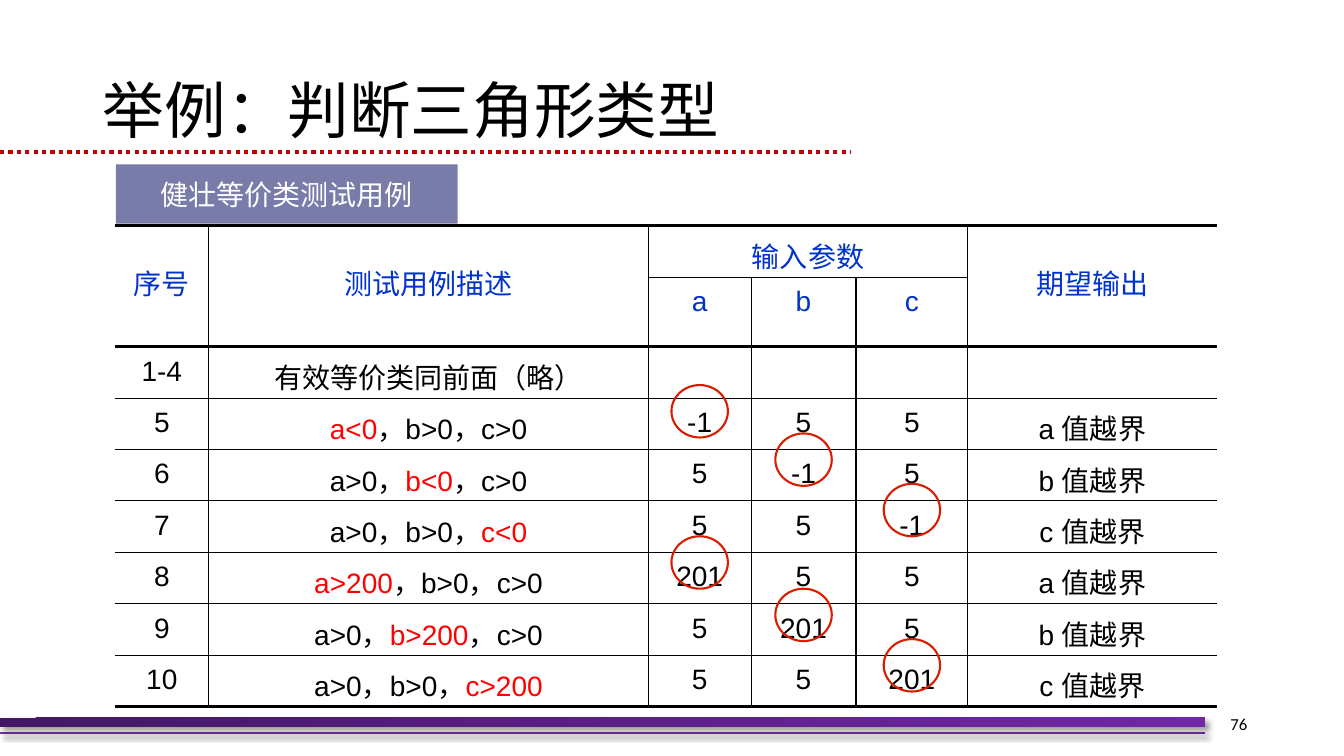
from itertools import groupby

from lxml import etree
from pptx import Presentation
from pptx.dml.color import RGBColor
from pptx.enum.dml import MSO_LINE
from pptx.enum.shapes import MSO_CONNECTOR, MSO_SHAPE
from pptx.enum.text import MSO_ANCHOR, PP_ALIGN
from pptx.oxml.ns import qn
from pptx.util import Inches, Pt

LINE = MSO_CONNECTOR.STRAIGHT
RECT, OVAL = MSO_SHAPE.RECTANGLE, MSO_SHAPE.OVAL
DOTS = MSO_LINE.ROUND_DOT
TOP, MIDDLE = MSO_ANCHOR.TOP, MSO_ANCHOR.MIDDLE
LEFT, CENTER, RIGHT = PP_ALIGN.LEFT, PP_ALIGN.CENTER, PP_ALIGN.RIGHT

BLACK = RGBColor(0x00, 0x00, 0x00)
WHITE = RGBColor(0xFF, 0xFF, 0xFF)
BLUE = RGBColor(0x00, 0x33, 0xCC)
RED = RGBColor(0xFF, 0x00, 0x00)
RING = RGBColor(0xD8, 0x1E, 0x00)
CRIMSON = RGBColor(0xC0, 0x00, 0x00)
LILAC = RGBColor(0x79, 0x7B, 0xA9)
PURPLE = RGBColor(0x70, 0x30, 0xA0)
DARK = RGBColor(0x43, 0x17, 0x64)
LIGHT = RGBColor(0x71, 0x28, 0xA8)
HAN, LATIN = "Noto Sans CJK SC", "Arial"

TITLE = "举例：判断三角形类型"
LABEL = "健壮等价类测试用例"
PAGE = "76"
HEADS = [
    ("序号", "测试用例描述", "输入参数", "", "", "期望输出"),
    ("", "", "a", "b", "c", ""),
]
CASES = [
    ("1-4", "有效等价类同前面（略）", "", "", "", ""),
    ("5", "a<0，b>0，c>0", "-1", "5", "5", "a 值越界"),
    ("6", "a>0，b<0，c>0", "5", "-1", "5", "b 值越界"),
    ("7", "a>0，b>0，c<0", "5", "5", "-1", "c 值越界"),
    ("8", "a>200，b>0，c>0", "201", "5", "5", "a 值越界"),
    ("9", "a>0，b>200，c>0", "5", "201", "5", "b 值越界"),
    ("10", "a>0，b>0，c>200", "5", "5", "201", "c 值越界"),
]
MERGES = [(0, 0, 1, 0), (0, 1, 1, 1), (0, 2, 0, 4), (0, 5, 1, 5)]
WIDTHS = [0.93, 4.36, 1.02, 1.04, 1.11, 2.47]
HEIGHTS = [0.51, 0.69] + [0.51] * len(CASES)
GRID_X, GRID_Y = 1.14, 2.24
INPUTS = (2, 3, 4)
RING_TOPS = [3.82, 4.3, 4.8, 5.32, 5.84, 6.34]
RING_W, RING_H = 0.56, 0.52


def box(x, y, w, h):
    return [Inches(v) for v in (x, y, w, h)]


def add_run(para, text, size, color, font):
    run = para.add_run()
    run.text = text
    run.font.size = Pt(size)
    run.font.color.rgb = color
    run.font.name = font
    etree.SubElement(run.font._element, qn("a:ea"), typeface=font)


def add_mixed(para, text, color):
    """Add one run per stretch of Chinese or Latin letters."""
    for han, chars in groupby(text, lambda ch: ord(ch) > 0x2E00):
        part = "".join(chars)
        wrong = not han and part[1:2] in ("<", ">") and part[1:] != ">0"
        add_run(para, part, 20, RED if wrong else color, HAN if han else LATIN)


def cast(shape, shadow):
    """Give a shape a soft shadow, or none at all."""
    effects = etree.SubElement(shape._element.spPr, qn("a:effectLst"))
    if shadow:
        outer = etree.SubElement(effects, qn("a:outerShdw"), blurRad="50800",
                                 dist="38100", dir="2700000", algn="tl", rotWithShape="0")
        tint = etree.SubElement(outer, qn("a:srgbClr"), val=str(BLACK))
        etree.SubElement(tint, qn("a:alpha"), val="40000")


def add_rule(slide, y, end, color, width, shadow=False):
    rule = slide.shapes.add_connector(LINE, 0, Inches(y), Inches(end), Inches(y))
    rule.line.color.rgb = color
    rule.line.width = Pt(width)
    cast(rule, shadow)
    return rule


def weight(row, col):
    """Width of the horizontal edge above a row."""
    if row == 1:
        return 1 if col in INPUTS else 2.25
    return 2.25 if row in (0, 2, len(HEIGHTS)) else 0.75


def set_edge(cell, side, width):
    edge = etree.SubElement(cell._tc.get_or_add_tcPr(), qn("a:ln" + side),
                            w=str(Pt(width)))
    if width:
        fill = etree.SubElement(edge, qn("a:solidFill"))
        etree.SubElement(fill, qn("a:srgbClr"), val=str(BLACK))
    else:
        etree.SubElement(edge, qn("a:noFill"))


def add_grid(slide):
    rows = HEADS + CASES
    frame = slide.shapes.add_table(len(rows), len(WIDTHS), *box(
        GRID_X, GRID_Y, sum(WIDTHS), sum(HEIGHTS)))
    grid = frame.table
    grid.first_row = grid.horz_banding = False
    for col, width in zip(grid.columns, WIDTHS):
        col.width = Inches(width)
    for row, height in zip(grid.rows, HEIGHTS):
        row.height = Inches(height)
    for top, left, bottom, right in MERGES:
        grid.cell(top, left).merge(grid.cell(bottom, right))
    for r, texts in enumerate(rows):
        for c, text in enumerate(texts):
            cell = grid.cell(r, c)
            if cell.is_spanned:
                continue
            tall = cell.is_merge_origin and cell.span_height > 1
            cell.margin_left = cell.margin_right = 0
            cell.margin_top = Inches(0 if tall else 0.09)
            cell.margin_bottom = Inches(0.08 if tall else 0)
            cell.vertical_anchor = MIDDLE if tall else TOP
            set_edge(cell, "L", 1 if c else 0)
            set_edge(cell, "R", 1 if c < len(WIDTHS) - 1 else 0)
            set_edge(cell, "T", weight(r, c))
            set_edge(cell, "B", weight(r + 1, c))
            cell.fill.background()
            para = cell.text_frame.paragraphs[0]
            para.alignment = CENTER
            add_mixed(para, text, BLUE if r < len(HEADS) else BLACK)


def add_rings(slide):
    for i, top in enumerate(RING_TOPS):
        col = INPUTS[i % len(INPUTS)]
        mid = GRID_X + sum(WIDTHS[:col]) + WIDTHS[col] / 2
        ring = slide.shapes.add_shape(OVAL, *box(mid - RING_W / 2, top, RING_W, RING_H))
        ring.shadow.inherit = False
        ring.fill.background()
        ring.line.color.rgb = RING
        ring.line.width = Pt(1.5)


def main():
    deck = Presentation()
    deck.slide_width, deck.slide_height = Inches(13.33), Inches(7.5)
    slide = deck.slides.add_slide(deck.slide_layouts[5])

    add_rule(slide, 7.27, 11.95, PURPLE, 1.5, shadow=True)
    bar = slide.shapes.add_shape(RECT, *box(0, 7.12, 11.95, 0.09))
    bar.fill.gradient()
    bar.fill.gradient_angle = 315
    for stop, color in zip(bar.fill.gradient_stops, (DARK, LIGHT)):
        stop.color.rgb = color
    bar.line.fill.background()
    cast(bar, True)
    add_rule(slide, 1.51, 8.44, CRIMSON, 3).line.dash_style = DOTS

    label = slide.shapes.add_shape(RECT, *box(1.15, 1.63, 3.39, 0.59))
    label.shadow.inherit = False
    label.fill.solid()
    label.fill.fore_color.rgb = LILAC
    label.line.fill.background()
    frame = label.text_frame
    frame.margin_left = frame.margin_right = frame.margin_bottom = 0
    frame.margin_top = Inches(0.13)
    frame.vertical_anchor = TOP
    frame.paragraphs[0].alignment = CENTER
    add_run(frame.paragraphs[0], LABEL, 20, WHITE, HAN)

    add_grid(slide)
    add_rings(slide)

    page = slide.shapes.add_textbox(*box(11.38, 6.98, 1.09, 0.4)).text_frame
    page.word_wrap = True
    page.vertical_anchor = MIDDLE
    page.paragraphs[0].alignment = RIGHT
    add_run(page.paragraphs[0], PAGE, 12, BLACK, "Calibri")

    title = slide.shapes.title
    title.left, title.top, title.width, title.height = box(0.92, 0.4, 11.5, 1.45)
    title.text_frame.vertical_anchor = MIDDLE
    head = title.text_frame.paragraphs[0]
    head.alignment = LEFT
    head.line_spacing = 0.9
    add_run(head, TITLE, 44, BLACK, HAN)
    deck.save("out.pptx")


if __name__ == "__main__":
    main()
